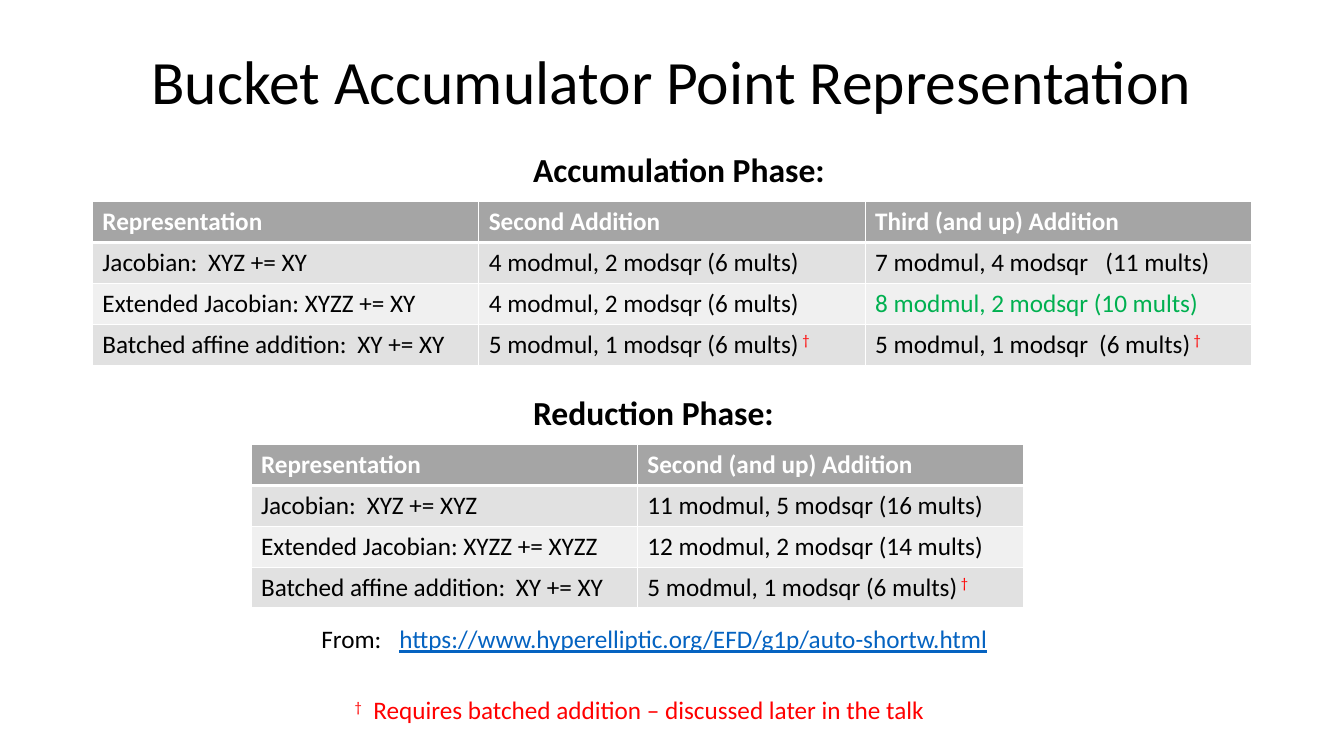
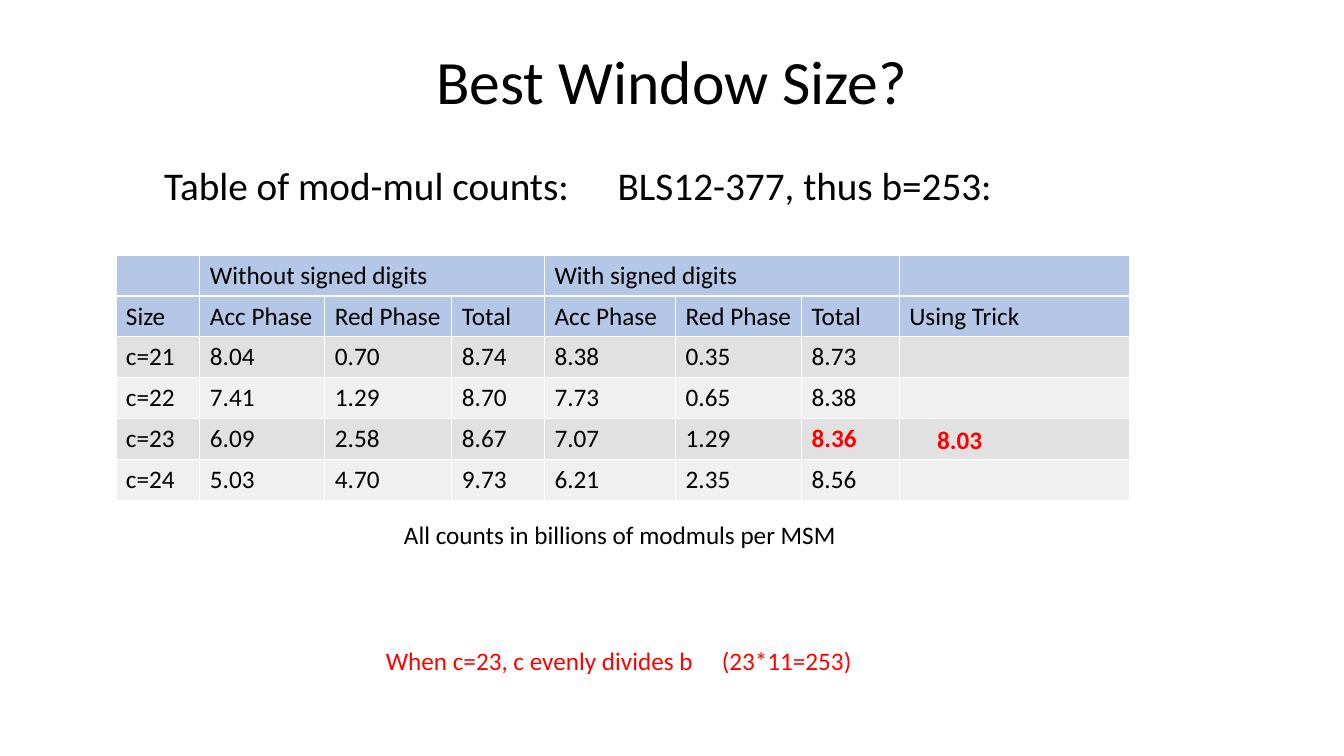
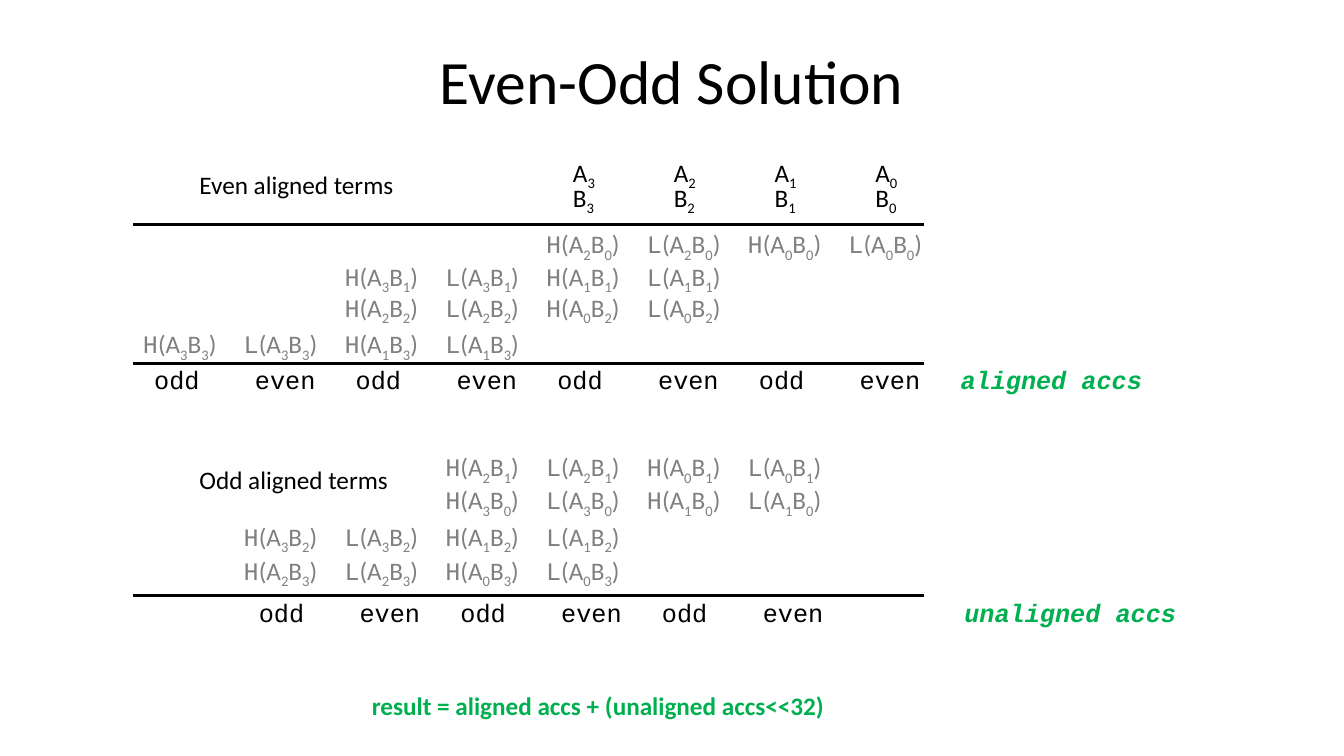
from dataclasses import dataclass
from typing import Optional, Sequence, Union

from lxml.etree import SubElement
from pptx import Presentation
from pptx.dml.color import RGBColor
from pptx.enum.text import MSO_ANCHOR, MSO_AUTO_SIZE, PP_ALIGN
from pptx.enum.shapes import MSO_CONNECTOR
from pptx.oxml import parse_xml
from pptx.oxml.ns import nsdecls, qn
from pptx.util import Pt


@dataclass(frozen=True)
class Theme:
    font: str = "Calibri"
    mono: str = "Courier New"
    title: float = 44
    body: float = 28
    heading: float = 24
    text: float = 18
    black: str = "000000"
    white: str = "FFFFFF"
    gray: str = "808080"
    red: str = "FF0000"
    green: str = "00B050"
    link: str = "0563C1"
    header_gray: str = "A5A5A5"
    header_blue: str = "B4C7E7"
    bands: tuple[str, str] = ("E1E1E1", "F0F0F0")


T = Theme()


@dataclass(frozen=True)
class Style:
    size: float = T.text
    color: str = T.black
    bold: bool = False
    font: str = T.font


@dataclass(frozen=True)
class Run:
    """A stretch of text; fields left at None follow the paragraph."""
    text: str
    color: Optional[str] = None
    font: Optional[str] = None
    bold: Optional[bool] = None
    italic: Optional[bool] = None
    underline: Optional[bool] = None
    baseline: int = 0


@dataclass(frozen=True)
class Line:
    """One paragraph with its tab stops, in points."""
    runs: tuple[Run, ...]
    tabs: tuple[float, ...] = ()
    style: Style = Style()


@dataclass(frozen=True)
class Box:
    left: float
    top: float
    width: float
    line: Line


@dataclass(frozen=True)
class TermRow:
    """Products A_i * B_j, each as a high and a low half, from a grid column on."""
    top: float
    column: int
    pairs: tuple[tuple[int, int], ...]


Cell = Union[str, Line]

PLAIN = Style()
BOLD = Style(bold=True)
HEADING = Style(size=T.heading, bold=True)
RED = Style(color=T.red)
DAGGER = Run(" †", color=T.red, baseline=30)

BOX_HEIGHT = 29
ROW_HEIGHT = 29.2
TERM_LEFT, TERM_STEP = 95, 72
RULE_RIGHT = 660
TERM_TABS = tuple(TERM_STEP * i for i in range(1, 4))


def line(text: str, *more: Run, tabs: tuple[float, ...] = (), style: Style = PLAIN) -> Line:
    return Line((Run(text), *more), tabs, style)


def set_font(font, style: Style) -> None:
    font.name, font.size, font.bold = style.font, Pt(style.size), style.bold
    font.color.rgb = RGBColor.from_string(style.color)


def write(p, content: Line) -> None:
    """Fill a paragraph: tab stops, common font, then the runs."""
    if content.tabs:
        stops = SubElement(p._p.get_or_add_pPr(), qn("a:tabLst"))
        for pos in content.tabs:
            SubElement(stops, qn("a:tab"), pos=str(Pt(pos)), algn="l")
    set_font(p.font, content.style)
    for run in content.runs:
        r = p.add_run()
        r.text = run.text
        if run.color:
            r.font.color.rgb = RGBColor.from_string(run.color)
        if run.font:
            r.font.name = run.font
        r.font.bold, r.font.italic, r.font.underline = run.bold, run.italic, run.underline
        if run.baseline:
            r._r.get_or_add_rPr().set("baseline", str(run.baseline * 1000))


def place(sp, left: float, top: float, width: float, height: float) -> None:
    sp.left, sp.top, sp.width, sp.height = Pt(left), Pt(top), Pt(width), Pt(height)


def add_slide(prs, title: str, layout: int = 5):
    s = prs.slides.add_slide(prs.slide_layouts[layout])
    sp = s.shapes.title
    place(sp, 66, 28.8, 828, 62.6)
    tf = sp.text_frame
    tf.auto_size, tf.vertical_anchor = MSO_AUTO_SIZE.NONE, MSO_ANCHOR.MIDDLE
    p = tf.paragraphs[0]
    p.alignment, p.line_spacing = PP_ALIGN.CENTER, 0.9
    write(p, line(title, style=Style(size=T.title)))
    return s


def add_box(s, box: Box) -> None:
    sp = s.shapes.add_textbox(Pt(box.left), Pt(box.top), Pt(box.width), Pt(BOX_HEIGHT))
    sp.text_frame.word_wrap = True
    write(sp.text_frame.paragraphs[0], box.line)


def add_rule(s, y: float) -> None:
    c = s.shapes.add_connector(
        MSO_CONNECTOR.STRAIGHT, Pt(TERM_LEFT), Pt(y), Pt(RULE_RIGHT), Pt(y))
    c.line.color.rgb = RGBColor.from_string(T.black)
    c.line.width = Pt(2)
    SubElement(c._element.spPr, qn("a:effectLst"))


def set_borders(cell, top: float, bottom: float) -> None:
    tc_pr = cell._tc.get_or_add_tcPr()
    for i, (side, width) in enumerate(zip("LRTB", (1, 1, top, bottom))):
        tc_pr.insert(i, parse_xml(
            f'<a:ln{side} {nsdecls("a")} w="{Pt(width)}"><a:solidFill>'
            f'<a:srgbClr val="{T.white}"/></a:solidFill></a:ln{side}>'))


def add_table(s, left: float, top: float, widths: Sequence[float],
              rows: Sequence[Sequence[Cell]], header_rows: int, header_fill: str,
              header: Style, header_rule: float = 1):
    """Draw a table with a filled header and banded rows below it."""
    frame = s.shapes.add_table(len(rows), len(widths), Pt(left), Pt(top),
                               Pt(sum(widths)), Pt(ROW_HEIGHT * len(rows)))
    table = frame.table
    table.first_row = table.horz_banding = False
    for column, width in zip(table.columns, widths):
        column.width = Pt(width)
    for i, row in enumerate(rows):
        table.rows[i].height = Pt(ROW_HEIGHT)
        in_header = i < header_rows
        fill = header_fill if in_header else T.bands[(i - header_rows) % 2]
        for j, content in enumerate(row):
            cell = table.cell(i, j)
            cell.fill.solid()
            cell.fill.fore_color.rgb = RGBColor.from_string(fill)
            set_borders(cell, header_rule if i == header_rows else 1,
                        header_rule if i == header_rows - 1 else 1)
            if isinstance(content, str):
                content = line(content, style=header if in_header else PLAIN)
            if content.runs[0].text:
                write(cell.text_frame.paragraphs[0], content)
    return table


def representation_slide(prs) -> None:
    s = add_slide(prs, "Bucket Accumulator Point Representation")
    batched = line("Batched affine addition:\tXY += XY", tabs=(182,))
    batched_cost = line("5 modmul, 1 modsqr (6 mults)", DAGGER)
    accumulation = [
        ["Representation", "Second Addition", "Third (and up) Addition"],
        [line("Jacobian:\tXYZ += XY", tabs=(75.5,)), "4 modmul, 2 modsqr (6 mults)",
         line("7 modmul, 4 modsqr\t(11 mults)", tabs=(164.5,))],
        ["Extended Jacobian: XYZZ += XY", "4 modmul, 2 modsqr (6 mults)",
         line("8 modmul, 2 modsqr (10 mults)", style=Style(color=T.green))],
        [batched, batched_cost,
         line("5 modmul, 1 modsqr\t(6 mults)", DAGGER, tabs=(160,))],
    ]
    reduction = [
        ["Representation", "Second (and up) Addition"],
        [line("Jacobian:\tXYZ += XYZ", tabs=(75.5,)), "11 modmul, 5 modsqr (16 mults)"],
        ["Extended Jacobian: XYZZ += XYZZ", "12 modmul, 2 modsqr (14 mults)"],
        [batched, batched_cost],
    ]
    header = Style(color=T.white, bold=True)
    for left, top, rows in ((66, 144, accumulation), (179.3, 317.5, reduction)):
        add_table(s, left, top, [276] * len(rows[0]), rows, 1, T.header_gray, header, 3)
    url = Run("https://www.hyperelliptic.org/EFD/g1p/auto-shortw.html",
              color=T.link, underline=True)
    for box in (
        Box(373.7, 103, 230, line("Accumulation Phase:", style=HEADING)),
        Box(373.7, 276.5, 230, line("Reduction Phase:", style=HEADING)),
        Box(222.5, 442, 500, line("From:\t", url, tabs=(55.7,))),
        Box(246.2, 492.5, 446, Line(
            (Run("†", baseline=30),
             Run("\tRequires batched addition – discussed later in the talk")),
            (13.5,), RED)),
    ):
        add_box(s, box)


def window_slide(prs) -> None:
    s = add_slide(prs, "Best Window Size?", layout=1)
    body = s.placeholders[1]
    place(body, 110, 115.2, 784, 371.5)
    body.text_frame.auto_size = MSO_AUTO_SIZE.NONE
    p = body.text_frame.paragraphs[0]
    p.line_spacing, p.space_before = 0.9, Pt(0)
    p_pr = p._p.get_or_add_pPr()
    p_pr.set("marL", "0")
    p_pr.set("indent", "0")
    SubElement(p_pr, qn("a:buNone"))
    write(p, line("Table of mod-mul counts:\tBLS12-377, thus b=253:",
                  tabs=(302,), style=Style(size=T.body)))

    phases = ["Acc Phase", "Red Phase", "Total"]
    best = line("8.36", style=Style(color=T.red, bold=True))
    rows = [
        ["", "Without signed digits", "", "", "With signed digits", "", "", ""],
        ["Size", *phases, *phases, "Using Trick"],
        ["c=21", "8.04", "0.70", "8.74", "8.38", "0.35", "8.73", ""],
        ["c=22", "7.41", "1.29", "8.70", "7.73", "0.65", "8.38", ""],
        ["c=23", "6.09", "2.58", "8.67", "7.07", "1.29", best, ""],
        ["c=24", "5.03", "4.70", "9.73", "6.21", "2.35", "8.56", ""],
    ]
    widths = [60, 89.3, 90.7, 66.2, 93.6, 90, 69.8, 164.2]
    table = add_table(s, 82.8, 182.2, widths, rows, 2, T.header_blue, PLAIN)
    for first in (1, 4):
        table.cell(0, first).merge(table.cell(0, first + 2))
    for box in (
        Box(281.5, 367.2, 330, line("All counts in billions of modmuls per MSM")),
        Box(268.5, 457.2, 355, line("When c=23, c evenly divides b\t(23*11=253)",
                                    tabs=(240,), style=RED)),
        Box(662.4, 299.5, 103, line("8.03", style=Style(color=T.red, bold=True))),
    ):
        add_box(s, box)


def subscript(index: int) -> Run:
    return Run(str(index), baseline=-25)


def term_line(pairs: Sequence[tuple[int, int]]) -> Line:
    runs: list[Run] = []
    for a, b in pairs:
        for half in "HL":
            if runs:
                runs.append(Run("\t"))
            runs += [Run(half, font=T.mono), Run("(A"), subscript(a),
                     Run("B"), subscript(b), Run(")")]
    return Line(tuple(runs), TERM_TABS, Style(color=T.gray))


def operand_line(letter: str) -> Line:
    runs: list[Run] = []
    for i in (3, 2, 1, 0):
        runs += [Run(letter if i == 3 else "\t" + letter), subscript(i)]
    return Line(tuple(runs), TERM_TABS)


def parity_line(pairs: int, label: str, label_column: int) -> Line:
    """Alternate odd and even over the columns, then name the accumulators."""
    columns = (*range(1, 2 * pairs), label_column)
    return line("odd\teven\t" * pairs, Run(label, color=T.green, bold=True, italic=True),
                tabs=tuple(TERM_STEP * c for c in columns), style=Style(font=T.mono))


def even_odd_slide(prs) -> None:
    s = add_slide(prs, "Even-Odd Solution")
    for row in (
        TermRow(159.8, 4, ((2, 0), (0, 0))),
        TermRow(182.9, 2, ((3, 1), (1, 1))),
        TermRow(205.2, 2, ((2, 2), (0, 2))),
        TermRow(231.1, 0, ((3, 3), (1, 3))),
        TermRow(319, 3, ((2, 1), (0, 1))),
        TermRow(342.7, 3, ((3, 0), (1, 0))),
        TermRow(368.6, 1, ((3, 2), (1, 2))),
        TermRow(393.1, 1, ((2, 3), (0, 3))),
    ):
        add_box(s, Box(TERM_LEFT + TERM_STEP * row.column, row.top, 290,
                       term_line(row.pairs)))
    for y in (160.6, 259.9, 425.5):
        add_rule(s, y)
    for box in (
        Box(402.2, 108.7, 252, operand_line("A")),
        Box(402.2, 126.7, 252, operand_line("B")),
        Box(103, 257, 791, parity_line(4, "aligned accs", 8)),
        Box(177.8, 423.4, 706, parity_line(3, "unaligned accs", 7)),
        Box(135.4, 117.4, 160, line("Even aligned terms")),
        Box(135.4, 328.3, 160, line("Odd aligned terms")),
        Box(258.5, 489.6, 350, line("result = aligned accs + (unaligned accs<<32)",
                                    style=Style(color=T.green, bold=True))),
    ):
        add_box(s, box)


def main() -> None:
    prs = Presentation()
    prs.slide_width, prs.slide_height = Pt(960), Pt(540)
    representation_slide(prs)
    window_slide(prs)
    even_odd_slide(prs)
    prs.save("out.pptx")


if __name__ == "__main__":
    main()
